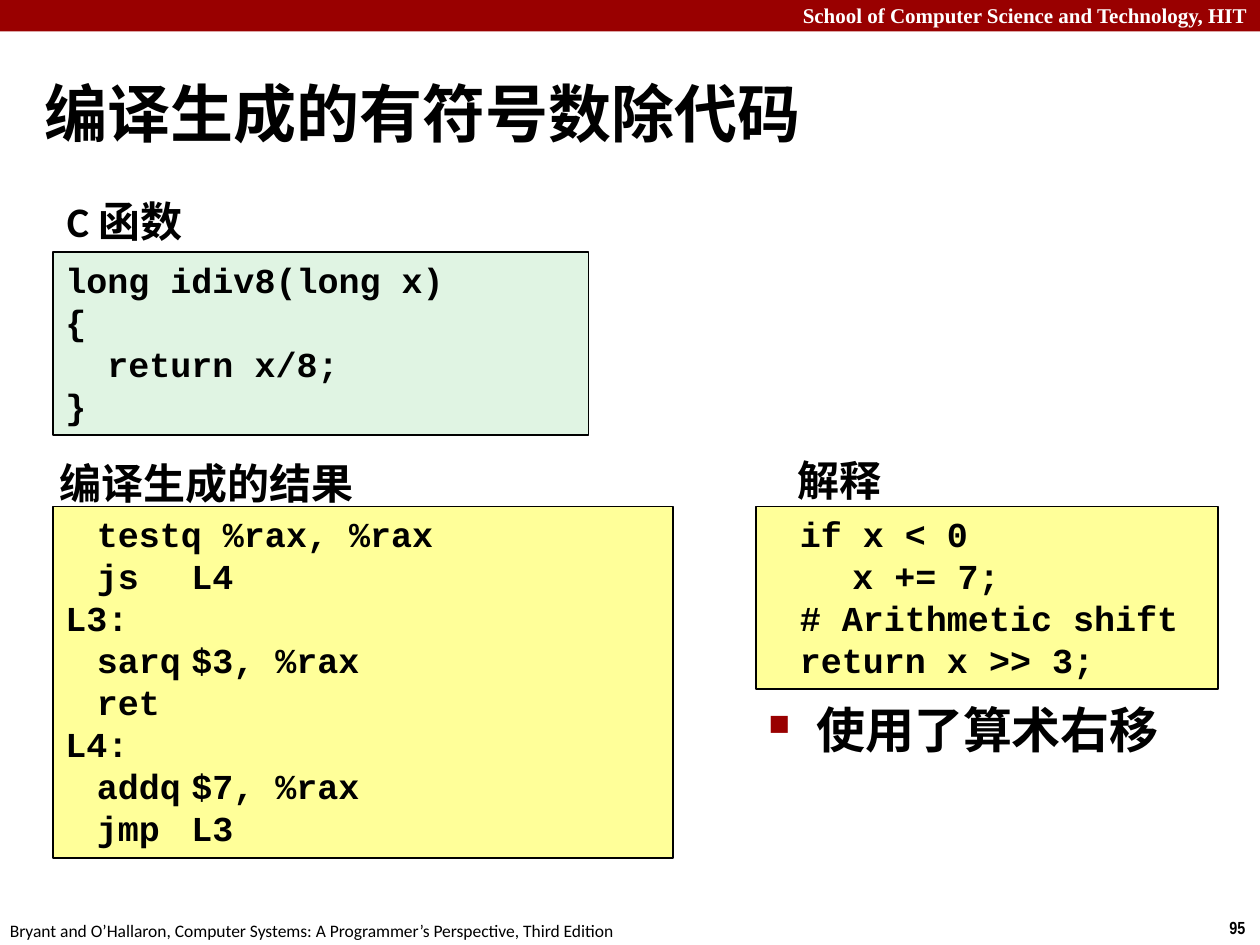
from lxml import etree
from pptx import Presentation
from pptx.dml.color import RGBColor
from pptx.enum import shapes, text
from pptx.oxml import ns
from pptx.util import Inches, Pt

HUES = {"red": "990000", "white": "FFFFFF", "black": "000000",
        "green": "E0F4E3", "yellow": "FFFF99"}
LEFT, RIGHT = text.PP_ALIGN.LEFT, text.PP_ALIGN.RIGHT
MID = text.PP_ALIGN.CENTER

C_CODE = "long idiv8(long x)\n{\n  return x/8;\n}"
ASM = ("\ttestq %rax, %rax\n\tjs\tL4\nL3:\n\tsarq\t$3, %rax\n\tret\n"
       "L4:\n\taddq\t$7, %rax\n\tjmp\tL3")
NOTES = "\tif x < 0\n    x += 7;\n\t# Arithmetic shift\n\treturn x >> 3;"


def hue(name):
    return RGBColor.from_string(HUES[name])


def add_sub(parent, tag, **attrs):
    node = etree.SubElement(parent, ns.qn(tag))
    for key, val in attrs.items():
        node.set(key, str(val))
    return node


def write(shape, words, size=24, font="Calibri", color="black", bold=True,
          align=LEFT, anchor=text.MSO_ANCHOR.TOP, wrap=True, pad=None,
          tab=None, hang=None, bullet=None):
    """Fill a shape with one paragraph per line of words."""
    frame = shape.text_frame
    frame.word_wrap = wrap
    frame.auto_size = text.MSO_AUTO_SIZE.NONE
    frame.vertical_anchor = anchor
    if pad is not None:
        frame.margin_left = frame.margin_right = Inches(pad)
        frame.margin_top = frame.margin_bottom = Inches(pad)
    for i, line in enumerate(words.split("\n")):
        para = frame.add_paragraph() if i else frame.paragraphs[0]
        para.alignment = align
        para.space_before = Pt(0)
        props = para._p.get_or_add_pPr()
        if hang:
            props.set("marL", str(Inches(hang)))
            props.set("indent", str(-Inches(hang)))
        if bullet:
            add_sub(add_sub(props, "a:buClr"), "a:srgbClr", val=HUES["red"])
            add_sub(props, "a:buSzPct", val=60000)
            add_sub(props, "a:buChar", char=bullet)
        if tab:
            tabs = add_sub(props, "a:tabLst")
            add_sub(tabs, "a:tab", pos=Inches(tab), algn="l")
        run = para.add_run()
        run.text = line
        run.font.name, run.font.size = font, Pt(size)
        run.font.bold, run.font.color.rgb = bold, hue(color)


def add_text(slide, box, words, **style):
    shape = slide.shapes.add_textbox(*map(Inches, box))
    write(shape, words, **style)


def add_rect(slide, box, fill, line=None):
    rect = slide.shapes.add_shape(shapes.MSO_SHAPE.RECTANGLE,
                                  *map(Inches, box))
    rect.shadow.inherit = False
    rect.fill.solid()
    rect.fill.fore_color.rgb = hue(fill)
    if line:
        rect.line.color.rgb = hue(line)
        rect.line.width = Pt(1)
    else:
        rect.line.fill.background()
    return rect


def add_frame(slide):
    """School band at the top, source and page number at the foot."""
    add_rect(slide, (0, 0, 10, 0.25), "red")
    add_text(slide, (0, -0.03, 10, 0.3),
             "School of Computer Science and Technology, HIT",
             size=12, font="Times New Roman", color="white", align=RIGHT)
    add_text(slide, (9.66, 7.23, 0.34, 0.27), "95",
             size=10, font="Arial Narrow", wrap=False)
    add_text(slide, (-0.02, 7.25, 5.08, 0.27),
             "Bryant and O’Hallaron, Computer Systems: "
             "A Programmer’s Perspective, Third Edition",
             size=10, bold=False, wrap=False)


def add_title(slide, box, words):
    title = slide.shapes.title
    title.left, title.top, title.width, title.height = map(Inches, box)
    write(title, words, size=36, anchor=text.MSO_ANCHOR.MIDDLE, hang=0.13)


def add_code(slide, box, code, fill, tab=None):
    rect = add_rect(slide, box, fill, "black")
    write(rect, code, size=20, font="Courier New", tab=tab)


def main():
    deck = Presentation()
    deck.slide_width, deck.slide_height = Inches(10), Inches(7.5)
    slide = deck.slides.add_slide(deck.slide_layouts[5])
    add_frame(slide)
    add_title(slide, (0.25, 0.58, 8.67, 0.63), "编译生成的有符号数除代码")

    # C function
    add_code(slide, (0.42, 2, 4.25, 1.45), C_CODE, "green")
    add_text(slide, (0.48, 1.5, 1.69, 0.5), "C 函数", pad=0.05)

    # Compiled result
    add_code(slide, (0.42, 4.02, 4.92, 2.79), ASM, "yellow", tab=0.25)
    add_text(slide, (0.42, 3.58, 3.08, 0.5), "编译生成的结果", pad=0.05)

    # Explanation
    add_code(slide, (6, 4.02, 3.67, 1.45), NOTES, "yellow", tab=0.25)
    add_text(slide, (6.27, 3.56, 0.78, 0.5), "解释", pad=0.05,
             align=MID, wrap=False)
    add_text(slide, (6, 5.5, 4, 0.58), "使用了算术右移", size=28,
             hang=0.38, bullet="■")

    deck.save("out.pptx")


if __name__ == "__main__":
    main()
